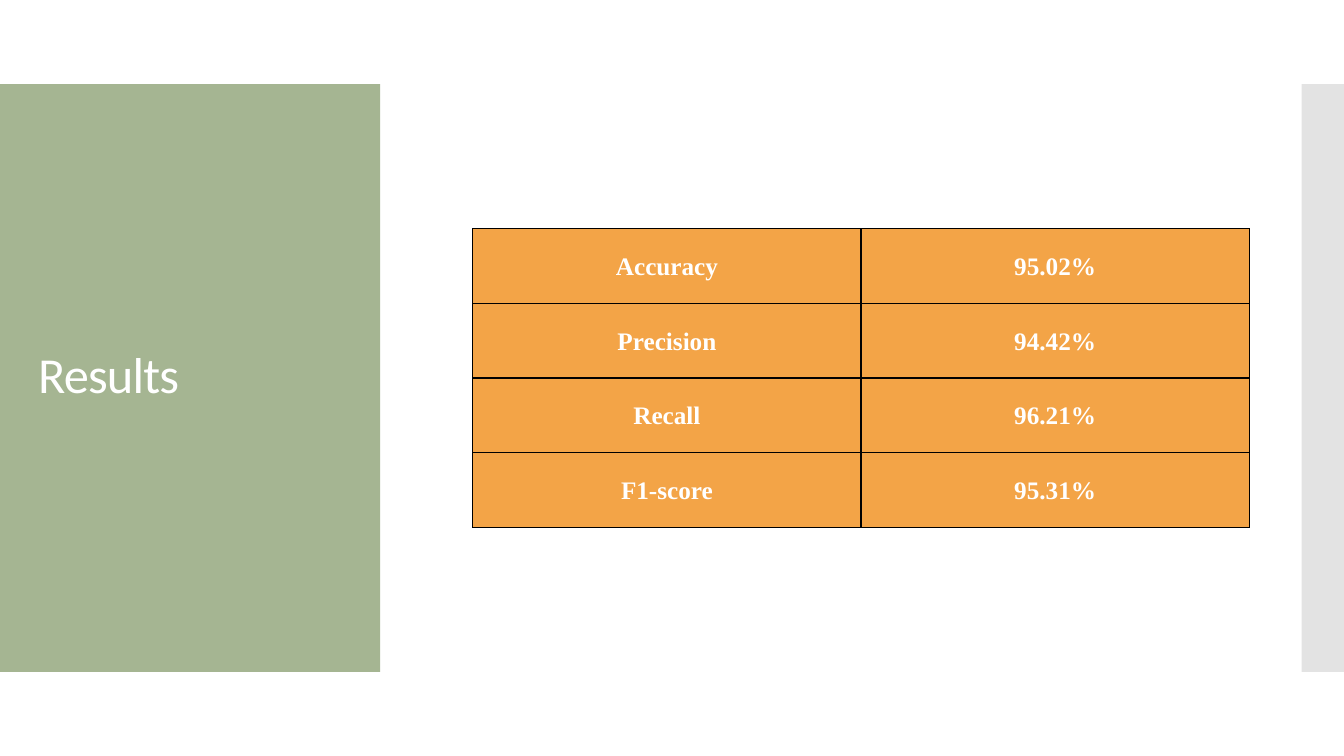
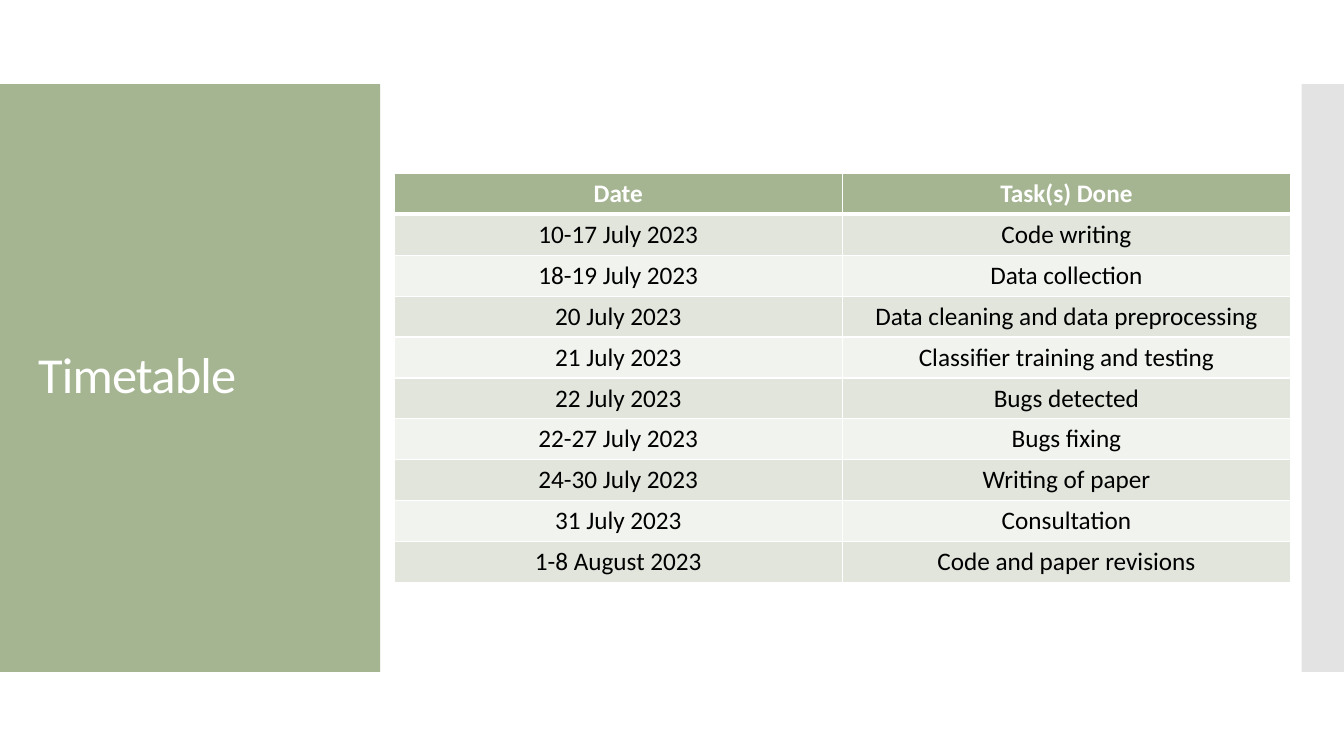
"""Build the results and timetable slides, each with a title band and a table."""
from lxml import etree
from pptx import Presentation
from pptx.dml.color import RGBColor
from pptx.enum.shapes import MSO_SHAPE
from pptx.enum.text import MSO_ANCHOR, PP_ALIGN
from pptx.oxml.ns import qn
from pptx.util import Inches, Pt

RECT = MSO_SHAPE.RECTANGLE
MIDDLE, TOP = MSO_ANCHOR.MIDDLE, MSO_ANCHOR.TOP
CENTER = PP_ALIGN.CENTER

W, H = 13.33, 7.5
BAND_TOP, BAND_H = H / 9, H * 7 / 9
GREEN, GREY, ORANGE = "A5B592", "C8C8C8", "F3A447"
WHITE, BLACK = "FFFFFF", "000000"
STRIPES = ["E1E5DC", "F0F3EE"]

TITLE_FONT = {"name": "Calibri", "size": Pt(36)}
HEAD_FONT = {"name": "Calibri", "size": Pt(18), "bold": True}
BODY_FONT = {"name": "Calibri", "size": Pt(18), "bold": False}
SCORE_FONT = {"name": "Times New Roman", "size": Pt(18), "bold": True}

SLIDES = [
    {
        "title": "Results",
        "box": (4.69, 2.27, 7.7, 2.96),
        "header": False,
        "fills": [ORANGE],
        "font": SCORE_FONT,
        "color": WHITE,
        "border": BLACK,
        "cell": {"vertical_anchor": MIDDLE, "margin_left": Inches(0.07),
                 "margin_right": Inches(0.07), "margin_top": 0, "margin_bottom": 0},
        "para": {"alignment": CENTER, "line_spacing": 1.07, "space_after": Pt(8)},
        "rows": [
            ("Accuracy", "95.02%"),
            ("Precision", "94.42%"),
            ("Recall", "96.21%"),
            ("F1-score", "95.31%"),
        ],
    },
    {
        "title": "Timetable",
        "box": (3.91, 1.72, 8.89, 4.06),
        "header": True,
        "fills": STRIPES,
        "font": BODY_FONT,
        "color": BLACK,
        "border": WHITE,
        "cell": {"vertical_anchor": TOP},
        "para": {"alignment": CENTER},
        "rows": [
            ("Date", "Task(s) Done"),
            ("10-17 July 2023", "Code writing"),
            ("18-19 July 2023", "Data collection"),
            ("20 July 2023", "Data cleaning and data preprocessing"),
            ("21 July 2023", "Classifier training and testing"),
            ("22 July 2023", "Bugs detected"),
            ("22-27 July 2023", "Bugs fixing"),
            ("24-30 July 2023", "Writing of paper"),
            ("31 July 2023", "Consultation"),
            ("1-8 August 2023", "Code and paper revisions"),
        ],
    },
]


def rgb(value):
    return RGBColor.from_string(value)


def apply(obj, values):
    for key, value in values.items():
        setattr(obj, key, value)


def paint(obj, color):
    obj.fill.solid()
    obj.fill.fore_color.rgb = rgb(color)


def write(p, text, font, color):
    r = p.add_run()
    r.text = text
    apply(r.font, font)
    r.font.color.rgb = rgb(color)
    return r


def add_band(s, left, width, color):
    sp = s.shapes.add_shape(RECT, *map(Inches, (left, BAND_TOP, width, BAND_H)))
    sp.shadow.inherit = False
    paint(sp, color)
    sp.line.fill.background()
    return sp


def add_frame(s, title):
    add_band(s, 0, 3.77, GREEN)
    edge = add_band(s, W - 0.42, 0.42, GREY)
    color = edge.fill._xPr.find(".//" + qn("a:srgbClr"))
    etree.SubElement(color, qn("a:alpha"), val="50000")
    tf = s.shapes.add_textbox(*map(Inches, (0.28, 1.23, 3.22, 5.03))).text_frame
    apply(tf, {"word_wrap": True, "vertical_anchor": MIDDLE})
    p = tf.paragraphs[0]
    p.line_spacing = 0.9
    r = write(p, title, TITLE_FONT, WHITE)
    r.font._element.set("spc", "-60")


def add_borders(cell, color, widths):
    tc_pr = cell._tc.get_or_add_tcPr()
    for side, width in zip("LRTB", widths):
        ln = etree.SubElement(tc_pr, qn("a:ln" + side), w=str(Pt(width)))
        fill = etree.SubElement(ln, qn("a:solidFill"))
        etree.SubElement(fill, qn("a:srgbClr"), val=color)


def add_table(s, data):
    rows, header = data["rows"], data["header"]
    n_rows, n_cols = len(rows), len(rows[0])
    left, top, width, height = data["box"]
    table = s.shapes.add_table(n_rows, n_cols, *map(Inches, data["box"])).table
    apply(table, {"first_row": header, "horz_banding": False})
    for col in table.columns:
        col.width = Inches(width / n_cols)
    for i, texts in enumerate(rows):
        table.rows[i].height = Inches(height / n_rows)
        is_head = header and i == 0
        fill = GREEN if is_head else data["fills"][(i - header) % len(data["fills"])]
        font = HEAD_FONT if is_head else data["font"]
        color = WHITE if is_head else data["color"]
        above = 3 if header and i == 1 else 1
        below = 3 if is_head else 1
        for j, text in enumerate(texts):
            cell = table.cell(i, j)
            add_borders(cell, data["border"], (1, 1, above, below))
            paint(cell, fill)
            apply(cell, data["cell"])
            p = cell.text_frame.paragraphs[0]
            apply(p, data["para"])
            write(p, text, font, color)


def main():
    prs = Presentation()
    prs.slide_width, prs.slide_height = Inches(W), Inches(H)
    for data in SLIDES:
        s = prs.slides.add_slide(prs.slide_layouts[6])
        add_frame(s, data["title"])
        add_table(s, data)
    prs.save("out.pptx")


if __name__ == "__main__":
    main()
